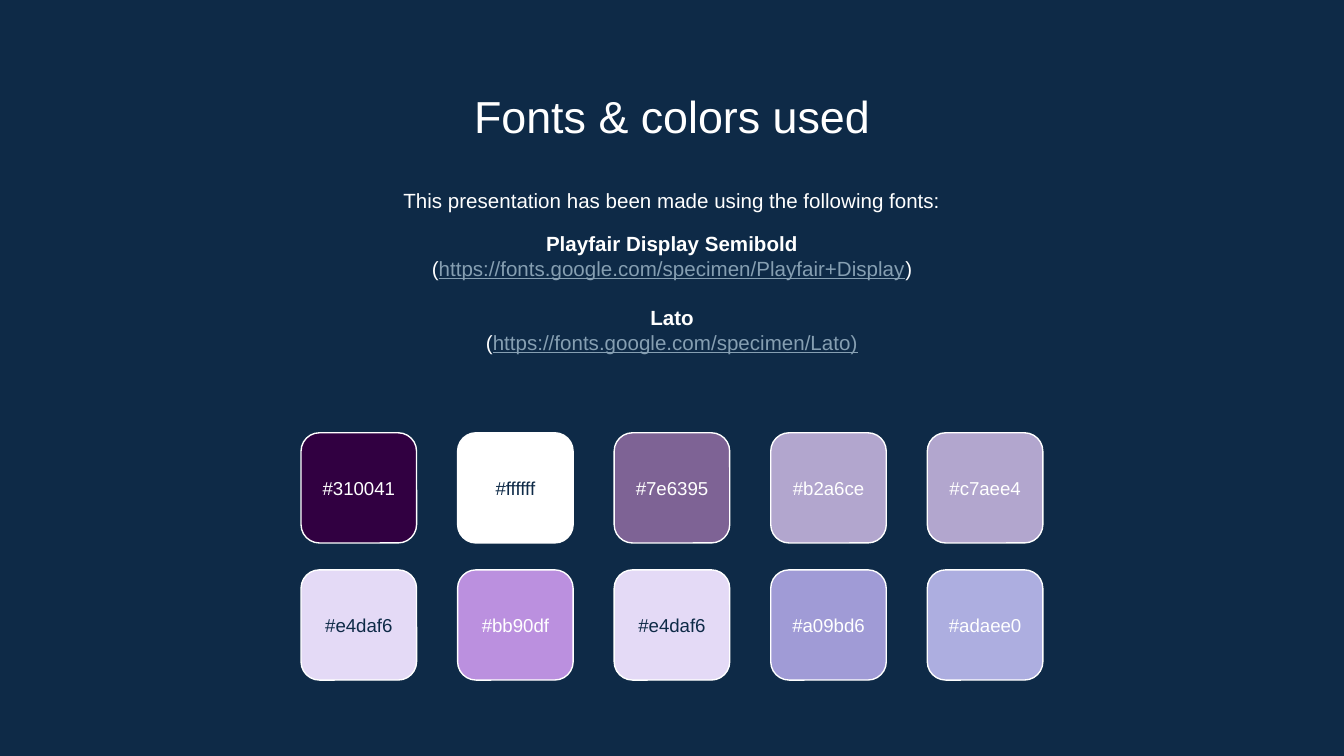
"""Build a slide that lists the fonts and colors of a deck."""
from pptx import Presentation, util as u
from pptx.dml.color import RGBColor
from pptx.enum import shapes, text

NAVY, WHITE, LINK = "0E2A47", "FFFFFF", "869FB2"
WIDE = 10
HIGH = WIDE * 9 / 16
EDGE = 0.79
SPAN = WIDE - 2 * EDGE
SIDE, TALL = 0.86, 0.82
LEFT, TOP = 2.24, 3.22
STEP = (WIDE - 2 * LEFT - SIDE) / 4
ROW, LABEL = 1.02, 0.48


def paint(part, tint):
    part.solid()
    part.fore_color.rgb = RGBColor.from_string(tint)


def write(slide, place, lines, size, anchor=text.MSO_ANCHOR.TOP):
    frame = slide.shapes.add_textbox(*map(u.Inches, place)).text_frame
    frame.word_wrap = True
    frame.vertical_anchor = anchor
    frame.margin_left = frame.margin_right = u.Inches(0.1)
    frame.margin_top = frame.margin_bottom = u.Inches(0.1)
    for num, (gap, runs) in enumerate(lines):
        para = frame.add_paragraph() if num else frame.paragraphs[0]
        para.alignment = text.PP_ALIGN.CENTER
        para.space_before = u.Pt(gap)
        for words, tint, bold in runs:
            run = para.add_run()
            run.text = words
            run.font.name = "Arial"
            run.font.size = u.Pt(size)
            run.font.bold = bold
            run.font.underline = tint == LINK
            paint(run.font.fill, tint)


deck = Presentation()
deck.slide_width, deck.slide_height = u.Inches(WIDE), u.Inches(HIGH)
slide = deck.slides.add_slide(deck.slide_layouts[6])
paint(slide.background.fill, NAVY)

lines = [(0, [("This presentation has been made using the following fonts:", WHITE, False)])]
fonts = [
    (10, "Playfair Display Semibold",
     [("https://fonts.google.com/specimen/Playfair+Display", LINK, False), (")", WHITE, False)]),
    (13, "Lato", [("https://fonts.google.com/specimen/Lato)", LINK, False)]),
]
for gap, name, link in fonts:
    lines.append((gap, [(name, WHITE, True)]))
    lines.append((0, [("(", WHITE, False)] + link))
write(slide, (EDGE, 1.3, SPAN, 1.6), lines, 11)
write(slide, (EDGE, 0.56, SPAN, 0.53), [(0, [("Fonts & colors used", WHITE, False)])], 24)

swatches = [
    [("310041", "#310041"), ("FFFFFF", "#ffffff"), ("7E6395", "#7e6395"),
     ("B2A6CE", "#b2a6ce"), ("B2A6CE", "#c7aee4")],
    [("E4DAF6", "#e4daf6"), ("BB90DF", "#bb90df"), ("E4DAF6", "#e4daf6"),
     ("A09BD6", "#a09bd6"), ("ADAEE0", "#adaee0")],
]
for row, band in enumerate(swatches):
    for col, (fill, code) in enumerate(band):
        left, top = LEFT + col * STEP, TOP + row * ROW
        tile = slide.shapes.add_shape(
            shapes.MSO_SHAPE.ROUNDED_RECTANGLE, *map(u.Inches, (left, top, SIDE, TALL)))
        tile.shadow.inherit = False
        paint(tile.fill, fill)
        paint(tile.line.fill, WHITE)
        tile.line.width = u.Pt(0.75)
        ink = NAVY if fill in ("FFFFFF", "E4DAF6") else WHITE
        place = (left, top + (TALL - LABEL) / 2, SIDE, LABEL)
        write(slide, place, [(0, [(code, ink, False)])], 10, text.MSO_ANCHOR.MIDDLE)

deck.save("out.pptx")
